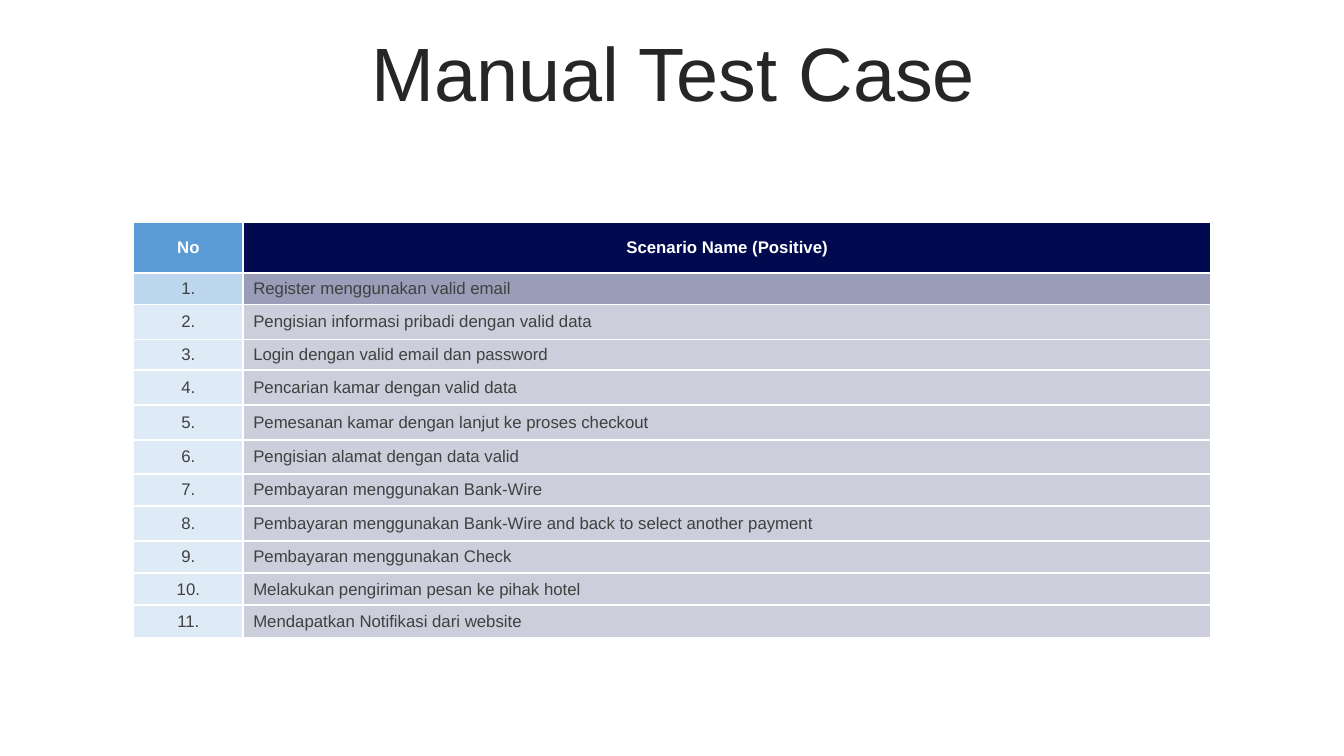
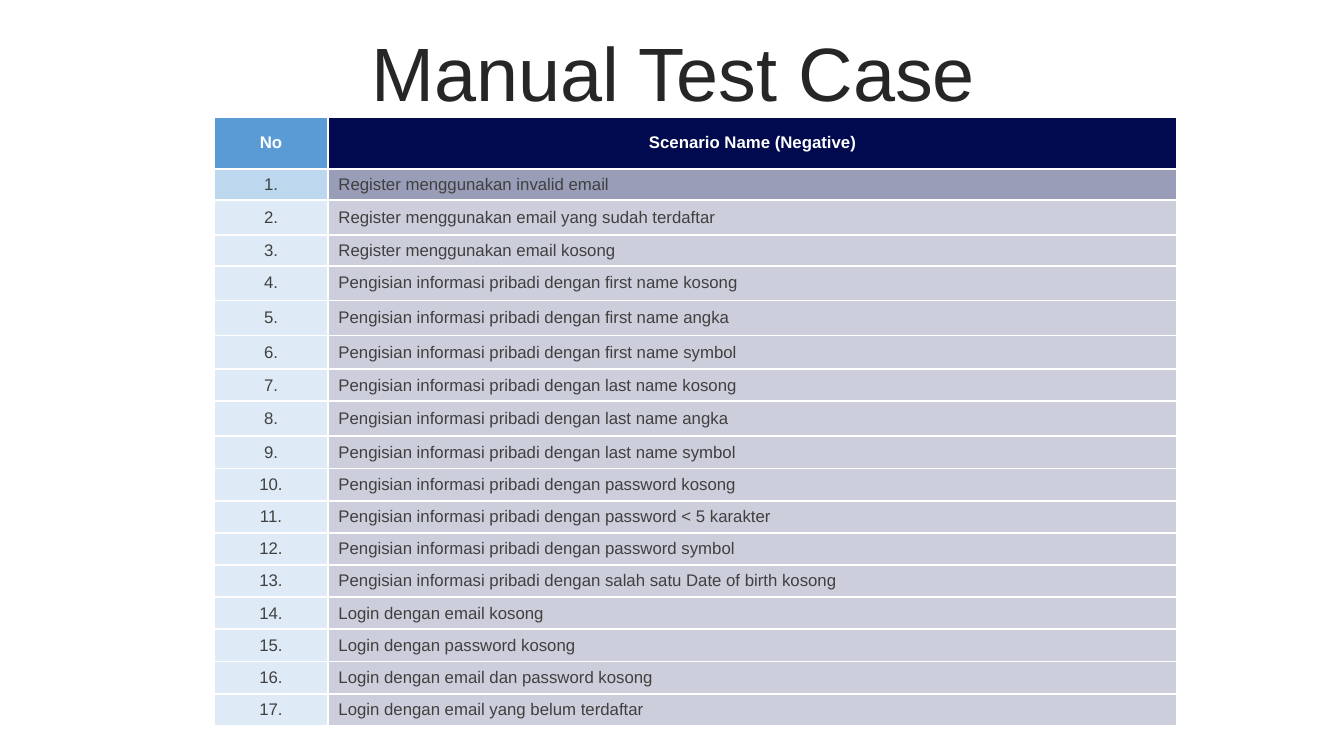
from lxml import etree
from pptx import Presentation
from pptx import util as u
from pptx.dml.color import RGBColor
from pptx.enum import text
from pptx.oxml import ns

BLUE, NAVY, WHITE = "5A9BD5", "010A4F", "FFFFFF"
TITLE_INK, BODY_INK = "262626", "404040"
HEADER_HEIGHT = 36.7
ROW_HEIGHTS = [22.3, 25, 22, 25, 25, 24, 23, 25]
LAST_ROW_HEIGHT = 23

POSITIVE = [
    "Register menggunakan valid email",
    "Pengisian informasi pribadi dengan valid data",
    "Login dengan valid email dan password",
    "Pencarian kamar dengan valid data",
    "Pemesanan kamar dengan lanjut ke proses checkout",
    "Pengisian alamat dengan data valid",
    "Pembayaran menggunakan Bank-Wire",
    "Pembayaran menggunakan Bank-Wire and back to select another payment",
    "Pembayaran menggunakan Check",
    "Melakukan pengiriman pesan ke pihak hotel",
    "Mendapatkan Notifikasi dari website",
]
NEGATIVE = [
    "Register menggunakan invalid email",
    "Register menggunakan email yang sudah terdaftar",
    "Register menggunakan email kosong",
    "Pengisian informasi pribadi dengan first name kosong",
    "Pengisian informasi pribadi dengan first name angka",
    "Pengisian informasi pribadi dengan first name symbol",
    "Pengisian informasi pribadi dengan last name kosong",
    "Pengisian informasi pribadi dengan last name angka",
    "Pengisian informasi pribadi dengan last name symbol",
    "Pengisian informasi pribadi dengan password kosong",
    "Pengisian informasi pribadi dengan password < 5 karakter",
    "Pengisian informasi pribadi dengan password symbol",
    "Pengisian informasi pribadi dengan salah satu Date of birth kosong",
    "Login dengan email kosong",
    "Login dengan password kosong",
    "Login dengan email dan password kosong",
    "Login dengan email yang belum terdaftar",
]


def color(value):
    return RGBColor.from_string(value)


def apply(target, values):
    for name, value in values.items():
        setattr(target, name, value)


class Deck:
    font = "Arial"
    title_size = 54
    table_size = 12
    border_width = 1.5

    def __init__(self):
        self.deck = Presentation()
        apply(self.deck, {"slide_width": u.Pt(960), "slide_height": u.Pt(540)})
        self.page = None

    def add_page(self, title):
        self.page = self.deck.slides.add_slide(self.deck.slide_layouts[5])
        box = self.page.shapes.title
        apply(box, {"left": u.Pt(25.2), "top": u.Pt(26.6), "width": u.Pt(911.5), "height": u.Pt(57)})
        apply(box.text_frame, {
            "word_wrap": True,
            "auto_size": text.MSO_AUTO_SIZE.NONE,
            "vertical_anchor": text.MSO_ANCHOR.MIDDLE,
        })
        para = self.add_text(box.text_frame, title, self.title_size, TITLE_INK, centered=True)
        apply(para, {"line_spacing": 0.9, "space_before": u.Pt(10)})

    def add_text(self, frame, words, size, ink, bold=False, centered=False):
        para = frame.paragraphs[0]
        para.alignment = text.PP_ALIGN.CENTER if centered else text.PP_ALIGN.LEFT
        span = para.add_run()
        span.text = words
        apply(span.font, {"name": self.font, "size": u.Pt(size), "bold": bold})
        span.font.color.rgb = color(ink)
        return para

    def add_scenarios(self, left, top, widths, heading, scenarios):
        extra = len(scenarios) - len(ROW_HEIGHTS)
        heights = [HEADER_HEIGHT, *ROW_HEIGHTS, *[LAST_ROW_HEIGHT] * extra]
        rows = [("No", heading)]
        rows += [(f"{number}.", name) for number, name in enumerate(scenarios, 1)]
        table = self.page.shapes.add_table(
            len(rows), 2, u.Pt(left), u.Pt(top), u.Pt(sum(widths)), u.Pt(sum(heights))
        ).table
        apply(table, {"first_row": False, "horz_banding": False})
        for column, width in zip(table.columns, widths):
            column.width = u.Pt(width)
        for index, (height, row) in enumerate(zip(heights, rows)):
            table.rows[index].height = u.Pt(height)
            header = index == 0
            opacity = {0: 100, 1: 40}.get(index, 20)
            for position, (words, fill) in enumerate(zip(row, (BLUE, NAVY))):
                cell = table.cell(index, position)
                cell.vertical_anchor = text.MSO_ANCHOR.MIDDLE
                self.style_cell(cell, fill, opacity)
                self.add_text(cell.text_frame, words, self.table_size, WHITE if header else BODY_INK,
                              bold=header, centered=header or position == 0)

    def style_cell(self, cell, fill, opacity):
        properties = cell._tc.get_or_add_tcPr()
        for side in ("a:lnL", "a:lnR", "a:lnT", "a:lnB"):
            line = etree.SubElement(properties, ns.qn(side), w=str(u.Pt(self.border_width)))
            paint = etree.SubElement(line, ns.qn("a:solidFill"))
            etree.SubElement(paint, ns.qn("a:srgbClr"), val=WHITE)
        cell.fill.solid()
        cell.fill.fore_color.rgb = color(fill)
        if opacity < 100:
            shade = properties.find(ns.qn("a:solidFill")).find(ns.qn("a:srgbClr"))
            etree.SubElement(shade, ns.qn("a:alpha"), val=str(opacity * 1000))


def main():
    deck = Deck()
    for left, top, widths, kind, scenarios in (
        (95.4, 158.6, (78.3, 691.5), "Positive", POSITIVE),
        (152.6, 83.8, (82, 606), "Negative", NEGATIVE),
    ):
        deck.add_page("Manual Test Case")
        deck.add_scenarios(left, top, widths, f"Scenario Name ({kind})", scenarios)
    deck.deck.save("out.pptx")


if __name__ == "__main__":
    main()
